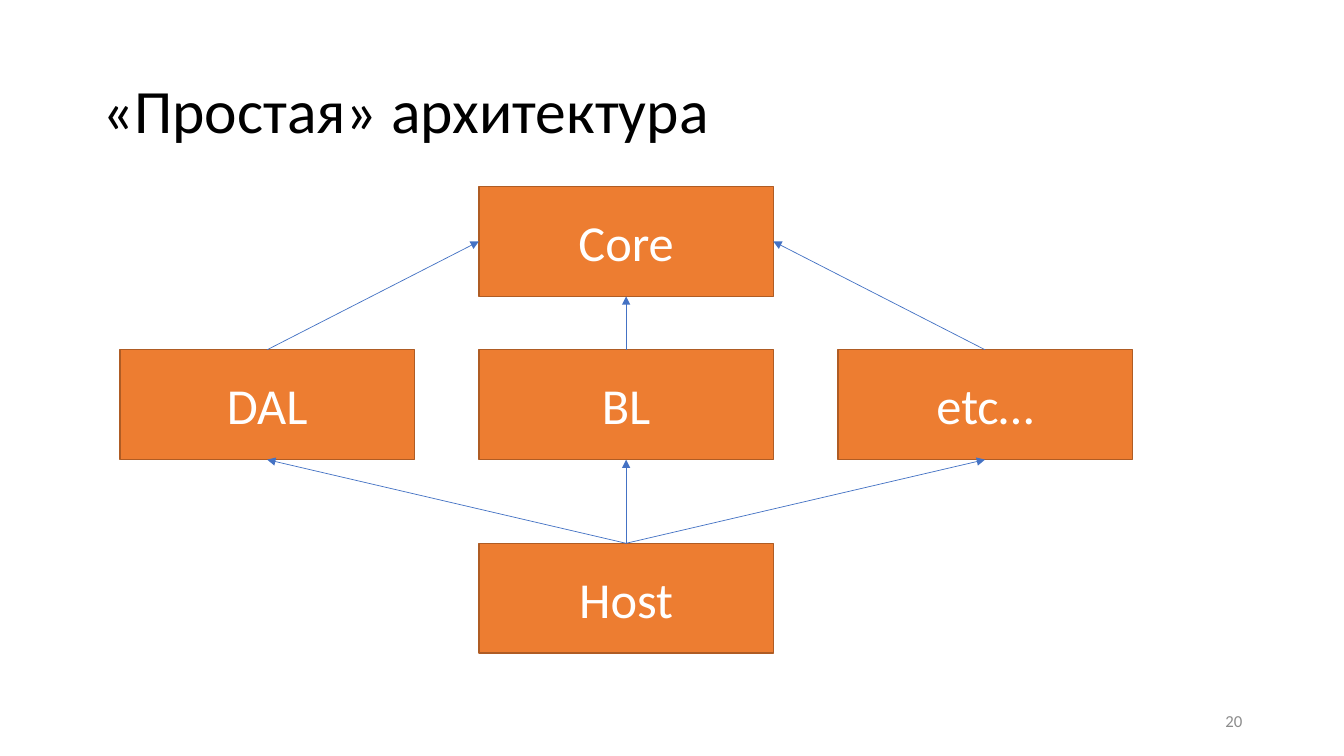
from dataclasses import dataclass

from pptx import Presentation
from pptx.dml.color import RGBColor as RGB
from pptx.enum.shapes import MSO_CONNECTOR as CONN, MSO_SHAPE as SHAPE
from pptx.enum.text import MSO_ANCHOR as ANCHOR, PP_ALIGN as ALIGN
from pptx.oxml.ns import qn
from pptx.shapes.autoshape import Shape
from pptx.slide import Slide
from pptx.util import Inches, Pt

TOP, LEFT, BOTTOM, RIGHT = range(4)


@dataclass(frozen=True)
class Theme:
    font: str = "Calibri"
    box: RGB = RGB(0xED, 0x7D, 0x31)
    border: RGB = RGB(0xAF, 0x5C, 0x24)
    arrow: RGB = RGB(0x44, 0x72, 0xC4)
    title: RGB = RGB(0, 0, 0)
    label: RGB = RGB(0xFF, 0xFF, 0xFF)
    number: RGB = RGB(0x8C, 0x8C, 0x8C)
    title_size: int = 44
    label_size: int = 36
    number_size: int = 12
    border_width: float = 1
    arrow_width: float = 0.5


@dataclass(frozen=True)
class Grid:
    left: float = 1.19
    pitch: float = 3.56
    rows: tuple[float, ...] = (1.85, 3.47, 5.39)
    width: float = 2.92
    height: float = 1.09

    def cell(self, col: int, row: int) -> tuple[float, float, float, float]:
        return self.left + col * self.pitch, self.rows[row], self.width, self.height


@dataclass(frozen=True)
class Module:
    name: str
    col: int
    row: int


@dataclass(frozen=True)
class Dependency:
    source: str
    target: str
    target_side: int


@dataclass(frozen=True)
class Caption:
    text: str
    area: tuple[float, float, float, float]
    size: int
    color: RGB
    align: ALIGN
    spacing: float = 1.0


THEME = Theme()
GRID = Grid()
MODULES = (
    Module("Core", 1, 0),
    Module("DAL", 0, 1),
    Module("BL", 1, 1),
    Module("etc…", 2, 1),
    Module("Host", 1, 2),
)
DEPENDENCIES = (
    Dependency("DAL", "Core", LEFT),
    Dependency("BL", "Core", BOTTOM),
    Dependency("etc…", "Core", RIGHT),
    Dependency("Host", "DAL", BOTTOM),
    Dependency("Host", "BL", BOTTOM),
    Dependency("Host", "etc…", BOTTOM),
)
CAPTIONS = (
    Caption("«Простая» архитектура", (0.92, 0.4, 11.5, 1.45),
            THEME.title_size, THEME.title, ALIGN.LEFT, 0.9),
    Caption("20", (9.42, 6.95, 3, 0.4),
            THEME.number_size, THEME.number, ALIGN.RIGHT),
)


def write(sp: Shape, text: str, size: int, color: RGB, align: ALIGN, spacing: float = 1.0) -> None:
    tf = sp.text_frame
    tf.word_wrap = True
    tf.vertical_anchor = ANCHOR.MIDDLE
    p = tf.paragraphs[0]
    p.alignment = align
    p.line_spacing = spacing
    r = p.add_run()
    r.text = text
    for key, value in {"name": THEME.font, "size": Pt(size)}.items():
        setattr(r.font, key, value)
    r.font.color.rgb = color


def add_caption(s: Slide, c: Caption) -> None:
    sp = s.shapes.add_textbox(*map(Inches, c.area))
    write(sp, c.text, c.size, c.color, c.align, c.spacing)


def add_module(s: Slide, m: Module) -> Shape:
    sp = s.shapes.add_shape(SHAPE.RECTANGLE, *map(Inches, GRID.cell(m.col, m.row)))
    sp.shadow.inherit = False
    sp.fill.solid()
    sp.fill.fore_color.rgb = THEME.box
    sp.line.color.rgb = THEME.border
    sp.line.width = Pt(THEME.border_width)
    write(sp, m.name, THEME.label_size, THEME.label, ALIGN.CENTER)
    return sp


def add_dependency(s: Slide, d: Dependency, boxes: dict[str, Shape]) -> None:
    cx = s.shapes.add_connector(CONN.STRAIGHT, 0, 0, 0, 0)
    cx.begin_connect(boxes[d.source], TOP)
    cx.end_connect(boxes[d.target], d.target_side)
    cx.line.color.rgb = THEME.arrow
    cx.line.width = Pt(THEME.arrow_width)
    ln = cx.line._get_or_add_ln()
    ln.append(ln.makeelement(qn("a:tailEnd"), {"type": "triangle"}))
    props = cx._element.spPr
    props.append(props.makeelement(qn("a:effectLst"), {}))


def main() -> None:
    prs = Presentation()
    prs.slide_width, prs.slide_height = Inches(13.33), Inches(7.5)
    s = prs.slides.add_slide(prs.slide_layouts[6])
    for caption in CAPTIONS:
        add_caption(s, caption)
    boxes = {m.name: add_module(s, m) for m in MODULES}
    for dependency in DEPENDENCIES:
        add_dependency(s, dependency, boxes)
    prs.save("out.pptx")


if __name__ == "__main__":
    main()
